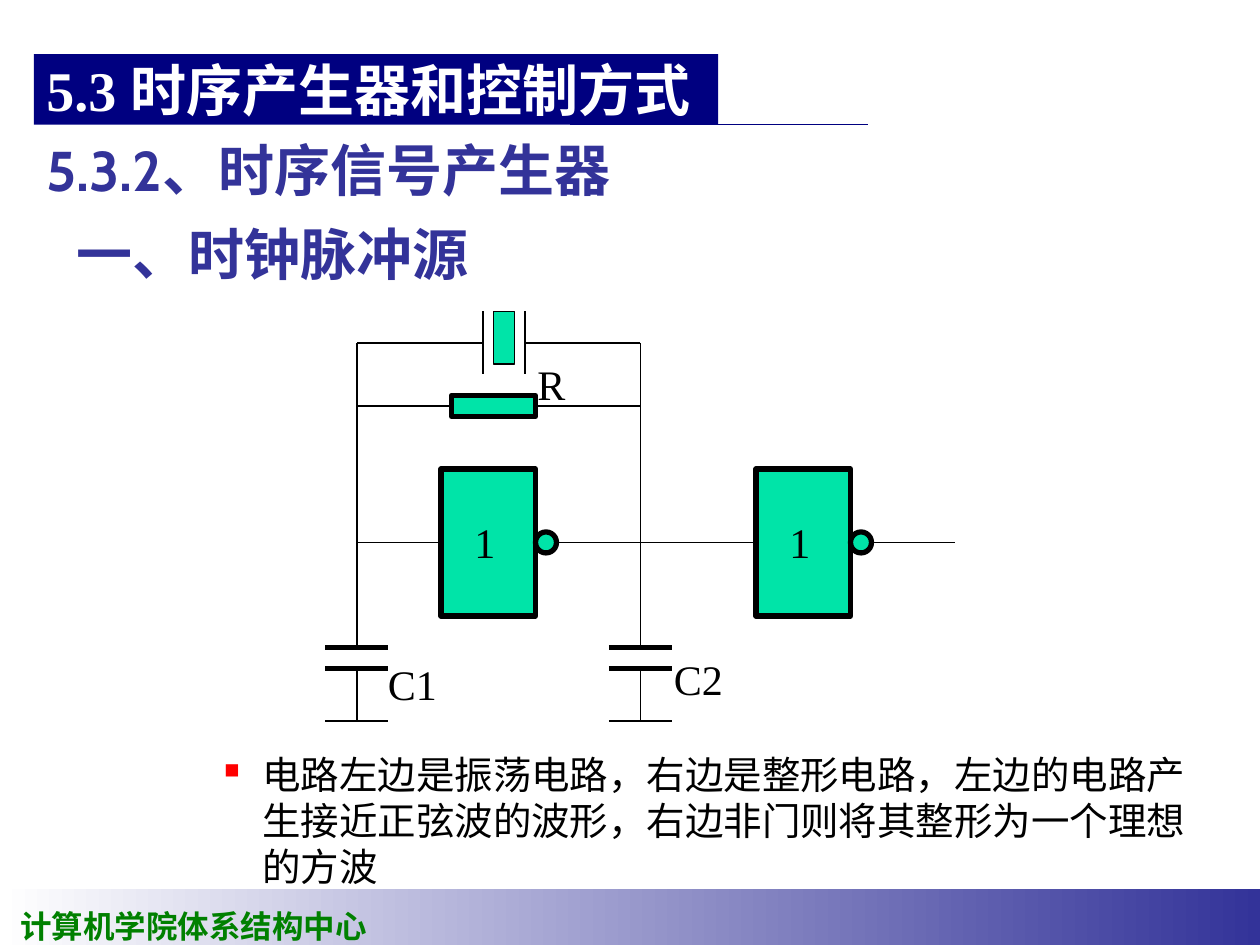
from lxml import etree
from pptx import Presentation
from pptx.dml.color import RGBColor
from pptx.enum.shapes import MSO_CONNECTOR, MSO_SHAPE
from pptx.enum.text import MSO_ANCHOR, MSO_AUTO_SIZE, PP_ALIGN
from pptx.oxml.ns import qn
from pptx.util import Pt

RECTANGLE, OVAL = MSO_SHAPE.RECTANGLE, MSO_SHAPE.OVAL
STRAIGHT = MSO_CONNECTOR.STRAIGHT
TOP, MIDDLE, BOTTOM = MSO_ANCHOR.TOP, MSO_ANCHOR.MIDDLE, MSO_ANCHOR.BOTTOM
LEFT, JUSTIFY = PP_ALIGN.LEFT, PP_ALIGN.JUSTIFY
LEFT_SIDE, RIGHT_SIDE = 1, 3

COLORS = {
    "black": "000000", "white": "FFFFFF", "navy": "000080", "indigo": "333399",
    "green": "008000", "component": "00E4A8", "bullet": "FF0000",
}
SERIF, SANS = "Times New Roman", "Cabin"
THIN, THICK = 1, 3

# Circuit columns and rows
LEFT_RAIL, RIGHT_RAIL = 204, 366
CRYSTAL_Y, RESISTOR_Y, GATE_Y = 196, 232, 310
CAPACITOR_TOP, CAPACITOR_BOTTOM, GROUND_Y = 370, 382, 412


def color(name):
    return RGBColor.from_string(COLORS[name])


def write(shape, text, size, font, color_name, bold=False, anchor=TOP,
          align=LEFT, wrap=True):
    frame = shape.text_frame
    frame.auto_size = MSO_AUTO_SIZE.NONE
    frame.word_wrap = wrap
    frame.vertical_anchor = anchor
    paragraph = frame.paragraphs[0]
    paragraph.text = text
    paragraph.alignment = align
    paragraph.font.size = Pt(size)
    paragraph.font.name = font
    paragraph.font.bold = bold
    paragraph.font.color.rgb = color(color_name)


def add_text(slide, box, *content, **options):
    shape = slide.shapes.add_textbox(*map(Pt, box))
    write(shape, *content, **options)
    return shape


def add_block(slide, box, fill="component", line_width=None, kind=RECTANGLE):
    shape = slide.shapes.add_shape(kind, *map(Pt, box))
    shape.shadow.inherit = False
    shape.fill.solid()
    shape.fill.fore_color.rgb = color(fill)
    if line_width:
        shape.line.color.rgb = color("black")
        shape.line.width = Pt(line_width)
    else:
        shape.line.fill.background()
    return shape


def add_wire(slide, start, end, width=THIN, color_name="black",
             begin_at=None, end_at=None):
    wire = slide.shapes.add_connector(STRAIGHT, *map(Pt, (*start, *end)))
    wire.line.color.rgb = color(color_name)
    wire.line.width = Pt(width)
    etree.SubElement(wire._element.spPr, qn("a:effectLst"))
    if begin_at:
        wire.begin_connect(begin_at, RIGHT_SIDE)
    if end_at:
        wire.end_connect(end_at, LEFT_SIDE)


def add_inverter(slide, left, wire_start, wire_end):
    gate = add_block(slide, (left, GATE_Y - 42, 54, 84), line_width=THICK)
    add_block(slide, (left + 54, GATE_Y - 6, 12, 12), line_width=THICK, kind=OVAL)
    add_wire(slide, (wire_start, GATE_Y), (left, GATE_Y), end_at=gate)
    add_wire(slide, (left + 66, GATE_Y), (wire_end, GATE_Y))
    add_text(slide, (left + 12, 291.6, 30, 36), "1", 24, SERIF, "black")


def add_rail(slide, x):
    """Vertical rail ending in a capacitor and a ground bar."""
    add_wire(slide, (x, CRYSTAL_Y), (x, CAPACITOR_TOP))
    add_wire(slide, (x, CAPACITOR_BOTTOM), (x, GROUND_Y))
    for y, width in ((CAPACITOR_TOP, THICK), (CAPACITOR_BOTTOM, THICK),
                     (GROUND_Y, THIN)):
        add_wire(slide, (x - 18, y), (x + 18, y), width)


def add_feedback(slide):
    """Crystal and resistor between the two rails."""
    add_block(slide, (282, 178, 12, 30), line_width=THIN)
    for plate, rail in ((276, LEFT_RAIL), (300, RIGHT_RAIL)):
        add_wire(slide, (plate, CRYSTAL_Y - 18), (plate, CRYSTAL_Y + 18))
        add_wire(slide, (plate, CRYSTAL_Y), (rail, CRYSTAL_Y))
    resistor = add_block(slide, (258, RESISTOR_Y - 6, 48, 12), line_width=THICK)
    add_wire(slide, (LEFT_RAIL, RESISTOR_Y), (258, RESISTOR_Y), end_at=resistor)
    add_wire(slide, (306, RESISTOR_Y), (RIGHT_RAIL, RESISTOR_Y), begin_at=resistor)


def add_explanation(slide, text):
    box = add_text(slide, (128, 429, 561, 84), "", 22, SANS, "black")
    frame = box.text_frame
    frame.margin_left = frame.margin_right = frame.margin_top = frame.margin_bottom = 0
    paragraph = frame.paragraphs[0]
    paragraph.line_spacing = Pt(26.3)
    properties = paragraph._p.get_or_add_pPr()
    properties.set("marL", str(Pt(22)))
    properties.set("indent", str(-Pt(22)))
    bullet_color = etree.Element(qn("a:buClr"))
    etree.SubElement(bullet_color, qn("a:srgbClr"), val=COLORS["bullet"])
    bullet = [bullet_color,
              etree.Element(qn("a:buSzPct"), val="55000"),
              etree.Element(qn("a:buChar"), char="■")]
    defaults = properties.find(qn("a:defRPr"))
    for element in bullet:
        defaults.addprevious(element)
    paragraph.text = text


def add_footer(slide):
    band = add_block(slide, (0, 508, 720, 34))
    band.fill.gradient()
    band.fill.gradient_angle = 0
    for stop, name in zip(band.fill.gradient_stops, ("white", "indigo")):
        stop.color.rgb = color(name)
    add_text(slide, (4.5, 515, 212, 29), "计算机学院体系结构中心", 18, SERIF,
             "green", bold=True, wrap=False)


def add_headings(slide):
    title = slide.shapes.title
    title.left, title.top, title.width, title.height = map(Pt, (36.7, 131, 425.5, 36.7))
    write(title, "一、时钟脉冲源", 32, SANS, "indigo", bold=True, anchor=BOTTOM)
    add_text(slide, (19.4, 82.8, 425.5, 36.7), "5.3.2、时序信号产生器", 32, SANS,
             "indigo", bold=True, anchor=BOTTOM)
    banner = add_block(slide, (19.4, 31, 391, 40.3), "navy")
    write(banner, "5.3 时序产生器和控制方式", 32, SERIF, "white", bold=True,
          anchor=MIDDLE, align=JUSTIFY)
    add_wire(slide, (326, 71.3), (496, 71.3), 0.75, "navy")


def main():
    presentation = Presentation()
    presentation.slide_width, presentation.slide_height = Pt(720), Pt(540)
    slide = presentation.slides.add_slide(presentation.slide_layouts[5])

    add_footer(slide)
    add_headings(slide)

    # Oscillator on the left, shaping inverter on the right
    for rail in (LEFT_RAIL, RIGHT_RAIL):
        add_rail(slide, rail)
    add_feedback(slide)
    add_inverter(slide, 252, LEFT_RAIL, RIGHT_RAIL)
    add_inverter(slide, 432, RIGHT_RAIL, 546)
    for label, left, top, width in (("R", 300, 201.6, 30), ("C1", 214.5, 373, 42.5),
                                    ("C2", 378, 370, 42.5)):
        add_text(slide, (left, top, width, 36), label, 24, SERIF, "black", wrap=False)

    add_explanation(slide, "电路左边是振荡电路，右边是整形电路，左边的电路产生接近正弦波的波形，"
                           "右边非门则将其整形为一个理想的方波")
    presentation.save("out.pptx")


if __name__ == "__main__":
    main()
